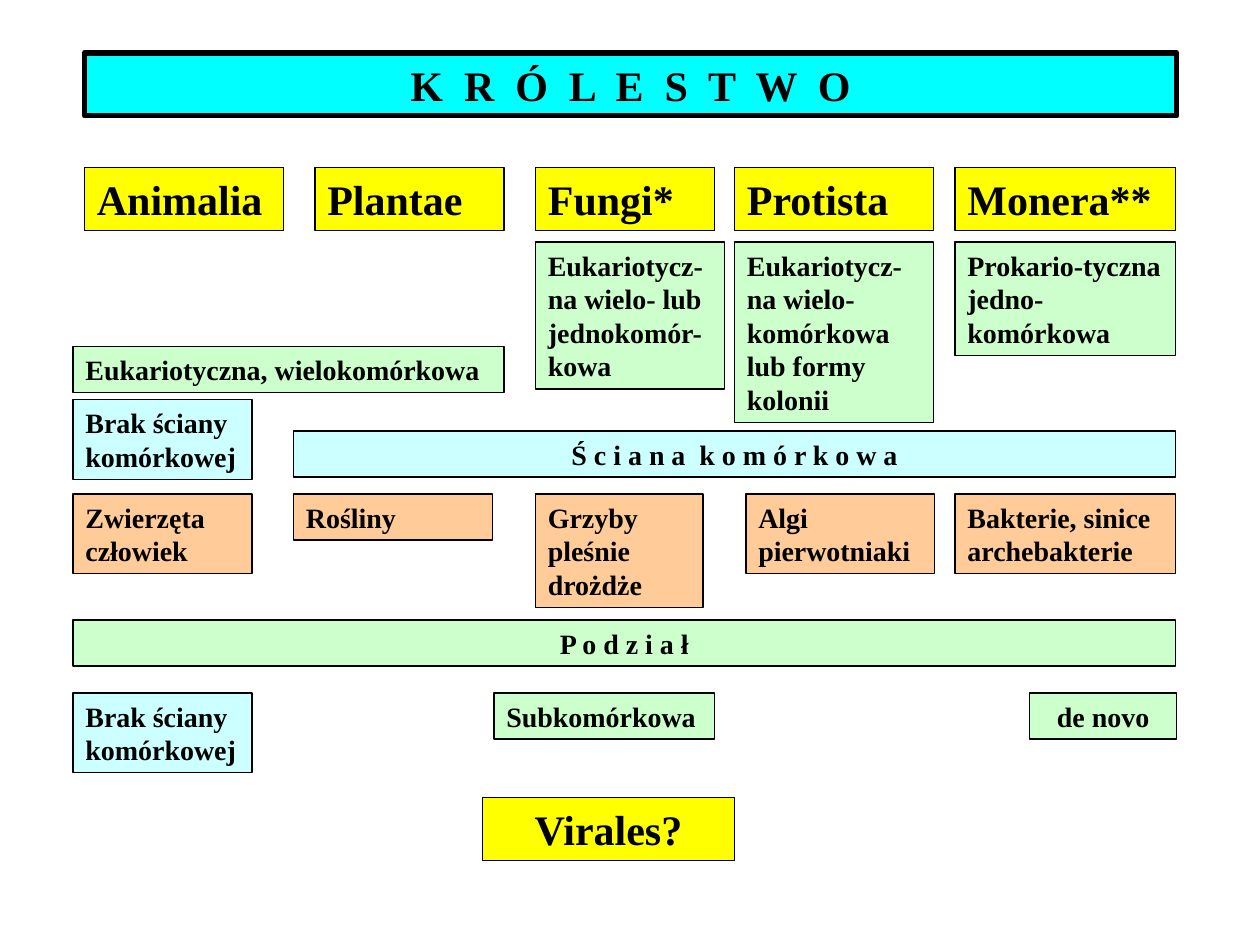
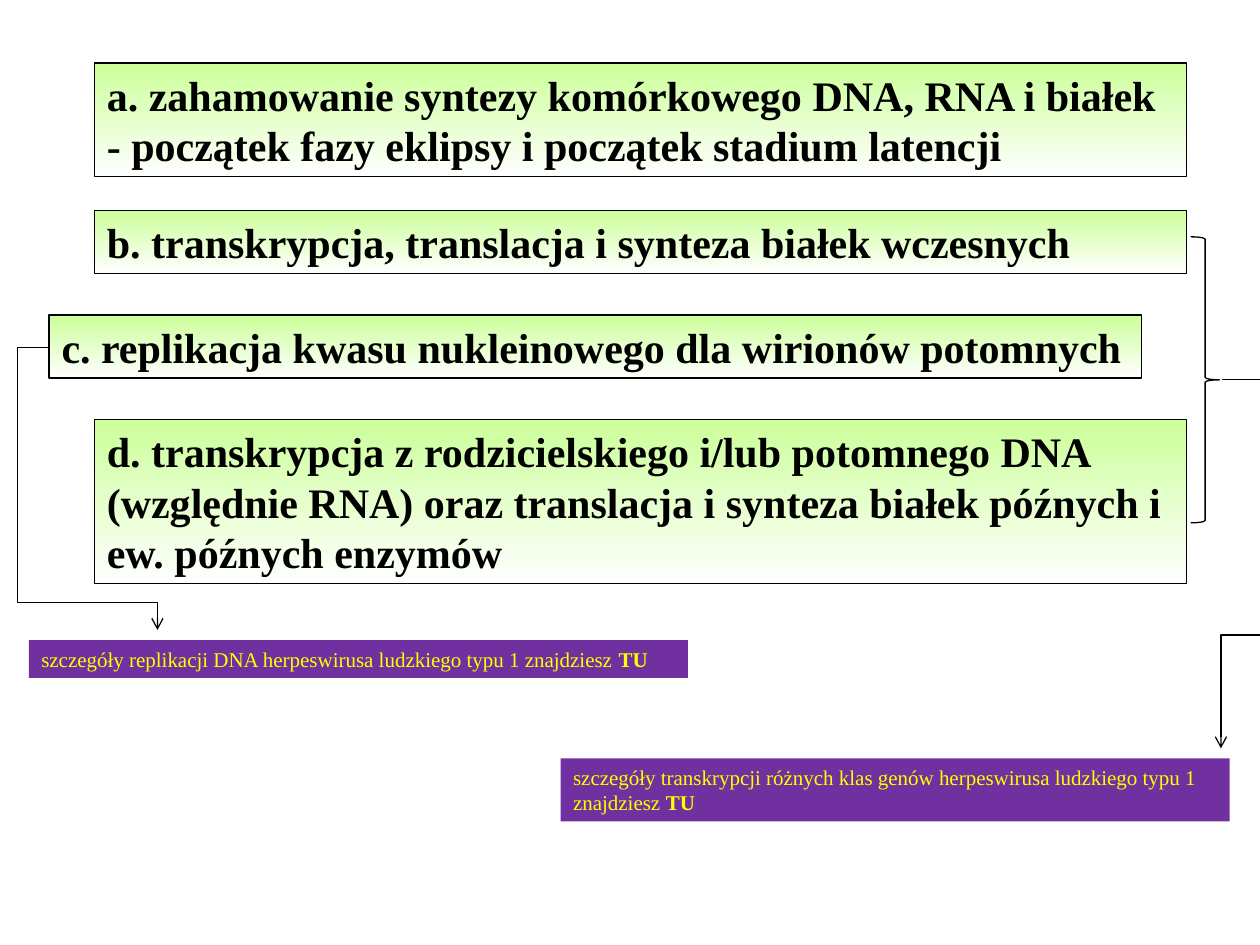
"""Build two slides: a chart of the kingdoms of life and the stages of virus replication."""
from dataclasses import dataclass

from lxml import etree
from pptx import Presentation
from pptx.dml.color import RGBColor as Color
from pptx.enum.shapes import MSO_CONNECTOR as Connector, MSO_SHAPE as Shape
from pptx.enum.text import MSO_ANCHOR as Anchor, MSO_AUTO_SIZE as AutoSize, PP_ALIGN as Align
from pptx.oxml.ns import qn
from pptx.util import Inches, Pt


@dataclass(frozen=True)
class Theme:
    """Colours, type sizes and line widths shared by both slides."""
    font: str = "Times New Roman"
    ink: str = "000000"
    white: str = "FFFFFF"
    cyan: str = "00FFFF"
    yellow: str = "FFFF00"
    mint: str = "CCFFCC"
    ice: str = "CCFFFF"
    peach: str = "FFCC99"
    lime: str = "CCFF99"
    purple: str = "7030A0"
    large: int = 24
    medium: int = 16
    small: int = 12
    thin: float = 0.75
    thick: float = 3


THEME = Theme()
PADDING = 0.05


def rgb(value):
    """Turn a hex string into a colour."""
    return Color.from_string(value)


def set_line(line, width=THEME.thin):
    """Give an outline the ink colour and a width."""
    line.color.rgb = rgb(THEME.ink)
    line.width = Pt(width)


def style_span(span, size, color, bold):
    """Format one run of text."""
    span.font.name = THEME.font
    span.font.size = Pt(size)
    span.font.color.rgb = rgb(color)
    span.font.bold = bold


def add_box(slide, left, top, width, lines, size):
    """Add a wrapping text box whose height follows its number of lines."""
    height = lines * size / 60 + 2 * PADDING
    box = slide.shapes.add_textbox(Inches(left), Inches(top), Inches(width), Inches(height))
    frame = box.text_frame
    frame.word_wrap = True
    frame.auto_size = AutoSize.SHAPE_TO_FIT_TEXT
    frame.vertical_anchor = Anchor.TOP
    frame.margin_left = frame.margin_right = Inches(2 * PADDING)
    frame.margin_top = frame.margin_bottom = Inches(PADDING)
    return box


def add_label(slide, text, left, top, width, fill, lines=1, size=THEME.medium,
              align=Align.LEFT, border=THEME.thin):
    """Add a bordered box with bold text on a flat colour."""
    box = add_box(slide, left, top, width, lines, size)
    box.fill.solid()
    box.fill.fore_color.rgb = rgb(fill)
    set_line(box.line, border)
    para = box.text_frame.paragraphs[0]
    para.text = text
    para.alignment = align
    style_span(para.runs[0], size, THEME.ink, True)
    return box


def add_stage(slide, text, left, top, lines):
    """Add a replication stage on a fading green ground."""
    box = add_label(slide, text, left, top, 8.67, THEME.lime, lines, THEME.large)
    box.fill.gradient()
    box.fill.gradient_angle = 270
    for stop, color, position in zip(box.fill.gradient_stops, (THEME.lime, THEME.white), (0, 1)):
        stop.color.rgb = rgb(color)
        stop.position = position


def add_hint(slide, text, left, top, width, lines):
    """Add a purple pointer note that ends with a bold word."""
    box = add_box(slide, left, top, width, lines, THEME.small)
    box.fill.solid()
    box.fill.fore_color.rgb = rgb(THEME.purple)
    para = box.text_frame.paragraphs[0]
    for words, bold in ((text, False), ("TU", True)):
        span = para.add_run()
        span.text = words
        style_span(span, THEME.small, THEME.yellow, bold)


def add_bent_arrow(slide, start, end, turn_x, turn_y):
    """Add an elbow arrow that turns at the given column and row."""
    points = [Inches(value) for value in (*start, *end)]
    arrow = slide.shapes.add_connector(Connector.ELBOW, *points)
    set_line(arrow.line)
    properties = arrow._element.spPr
    geometry = properties.find(qn("a:prstGeom"))
    geometry.set("prst", "bentConnector4")
    guides = geometry.find(qn("a:avLst"))
    ratios = ((turn_x - start[0]) / (end[0] - start[0]),
              (turn_y - start[1]) / (end[1] - start[1]))
    for number, ratio in enumerate(ratios, 1):
        etree.SubElement(guides, qn("a:gd"), name=f"adj{number}",
                         fmla=f"val {round(ratio * 100000)}")
    etree.SubElement(properties.find(qn("a:ln")), qn("a:tailEnd"), type="arrow")
    etree.SubElement(properties, qn("a:effectLst"))


def add_brace(slide, left, top, width, height):
    """Add a right brace without fill."""
    brace = slide.shapes.add_shape(Shape.RIGHT_BRACE, Inches(left), Inches(top),
                                   Inches(width), Inches(height))
    brace.shadow.inherit = False
    brace.fill.background()
    brace.adjustments[0] = 0.08
    set_line(brace.line)


def build_kingdoms(slide):
    """Lay out the kingdoms with their cell type, wall, members and division."""
    add_label(slide, "K  R  Ó  L  E  S  T  W  O", 0.67, 0.42, 8.67, THEME.cyan,
              size=THEME.large, align=Align.CENTER, border=THEME.thick)
    kingdoms = (("Animalia", 0.67, 1.58), ("Plantae", 2.5, 1.5), ("Fungi*", 4.25, 1.42),
                ("Protista", 5.83, 1.58), ("Monera**", 7.58, 1.75))
    for name, left, width in kingdoms:
        add_label(slide, name, left, 1.33, width, THEME.yellow, size=THEME.large)

    add_label(slide, "Eukariotyczna, wielokomórkowa", 0.58, 2.75, 3.42, THEME.mint)
    cell_types = (("Eukariotycz-na wielo- lub jednokomór-kowa", 4.25, 1.5, 4),
                  ("Eukariotycz-na wielo-komórkowa lub formy kolonii", 5.83, 1.58, 5),
                  ("Prokario-tyczna jedno-komórkowa", 7.58, 1.75, 3))
    for text, left, width, lines in cell_types:
        add_label(slide, text, left, 1.92, width, THEME.mint, lines)

    add_label(slide, "Ś c i a n a  k o m ó r k o w a", 2.33, 3.42, 7, THEME.ice,
              align=Align.CENTER)
    for top in (3.17, 5.5):
        add_label(slide, "Brak ściany komórkowej", 0.58, top, 1.42, THEME.ice, 2)

    members = (("Zwierzęta człowiek", 0.58, 1.42, 2), ("Rośliny", 2.33, 1.58, 1),
               ("Grzyby pleśnie drożdże", 4.25, 1.33, 3),
               ("Algi pierwotniaki", 5.92, 1.5, 2),
               ("Bakterie, sinice archebakterie", 7.58, 1.75, 2))
    for text, left, width, lines in members:
        add_label(slide, text, left, 3.92, width, THEME.peach, lines)

    add_label(slide, "P o d z i a ł", 0.58, 4.92, 8.75, THEME.mint, align=Align.CENTER)
    add_label(slide, "Subkomórkowa", 3.92, 5.5, 1.75, THEME.mint)
    add_label(slide, "de novo", 8.17, 5.5, 1.17, THEME.mint, align=Align.CENTER)
    add_label(slide, "Virales?", 3.83, 6.33, 2, THEME.yellow, size=THEME.large,
              align=Align.CENTER)


def build_replication(slide):
    """Lay out the replication stages and the notes they lead to."""
    stages = (
        ("a. zahamowanie syntezy komórkowego DNA, RNA i białek - początek fazy eklipsy "
         "i początek stadium latencji", 0.75, 0.5, 2),
        ("b. transkrypcja, translacja i synteza białek wczesnych", 0.75, 1.67, 1),
        ("c. replikacja kwasu nukleinowego dla wirionów potomnych", 0.39, 2.5, 1),
        ("d. transkrypcja z rodzicielskiego i/lub potomnego DNA (względnie RNA) oraz "
         "translacja i synteza białek późnych i ew. późnych enzymów", 0.75, 3.33, 3),
    )
    for stage in stages:
        add_stage(slide, *stage)
    add_brace(slide, 9.45, 1.88, 0.23, 2.27)
    add_bent_arrow(slide, (0.39, 2.76), (1.25, 5), 0.14, 4.78)
    add_bent_arrow(slide, (9.7, 3.01), (9.69, 5.94), 10.09, 5.04)
    add_hint(slide, "szczegóły replikacji DNA herpeswirusa ludzkiego typu 1 znajdziesz ",
             0.23, 5.08, 5.23, 1)
    add_hint(slide, "szczegóły transkrypcji różnych klas genów herpeswirusa ludzkiego "
             "typu 1 znajdziesz ", 4.45, 6.02, 5.31, 2)


def main():
    """Create the deck and save it."""
    deck = Presentation()
    deck.slide_width, deck.slide_height = Inches(10), Inches(7.5)
    blank = deck.slide_layouts[6]
    for build in (build_kingdoms, build_replication):
        build(deck.slides.add_slide(blank))
    deck.save("out.pptx")


if __name__ == "__main__":
    main()
